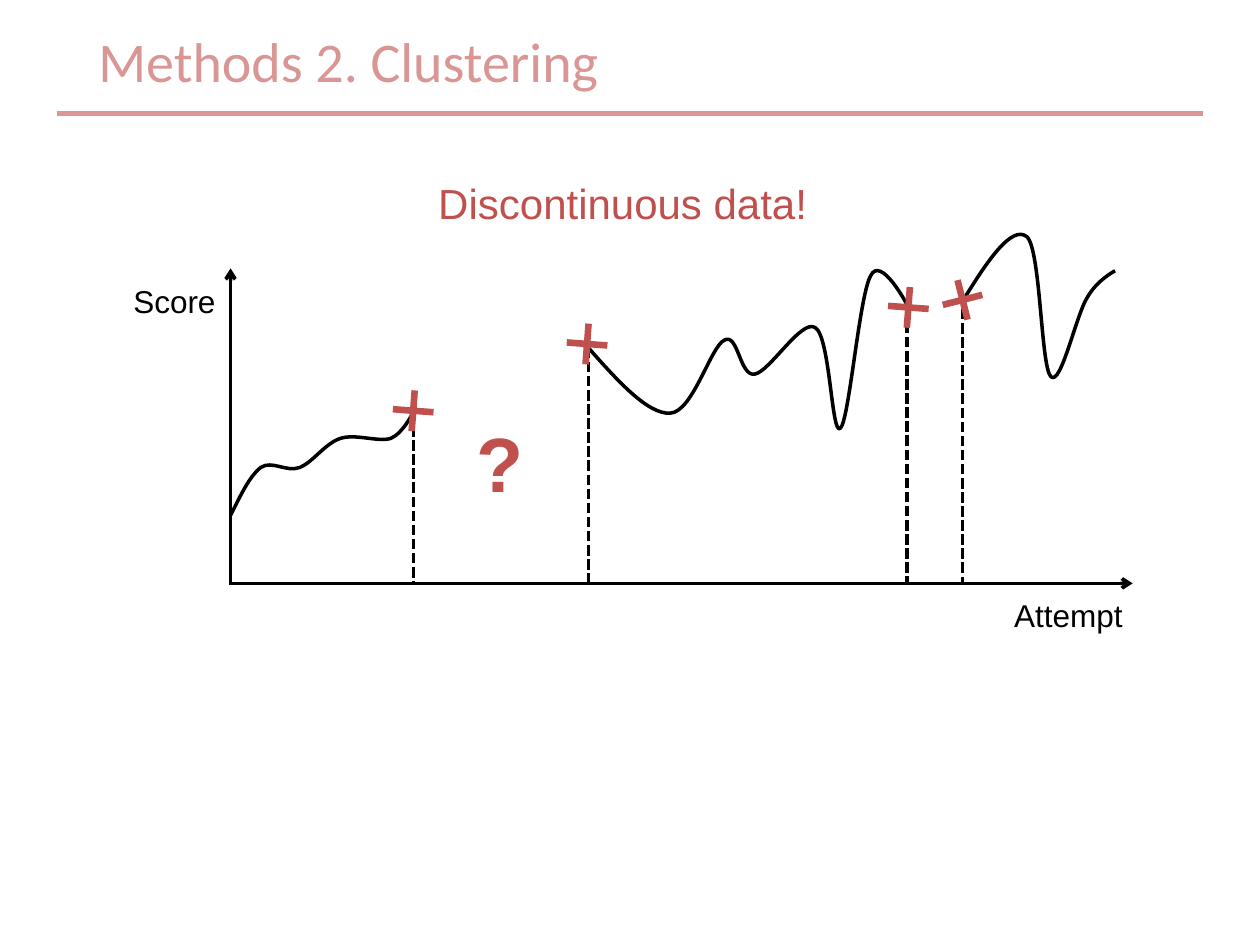
from dataclasses import dataclass
from typing import Any

from lxml.etree import SubElement
from pptx import Presentation
from pptx.dml.color import RGBColor
from pptx.enum.dml import MSO_LINE
from pptx.enum.shapes import MSO_CONNECTOR, MSO_SHAPE
from pptx.enum.text import MSO_ANCHOR, MSO_AUTO_SIZE, PP_ALIGN
from pptx.oxml.ns import qn
from pptx.util import Inches, Pt

PINK = RGBColor(0xD9, 0x96, 0x94)
RED = RGBColor(0xC0, 0x50, 0x4D)
BLACK = RGBColor(0, 0, 0)
AXIS_Y = 4.63
MARK_SIZE = 0.44

Point = tuple[float, float]
Box = tuple[float, float, float, float]


@dataclass
class Label:
    text: str
    box: Box
    size: int
    color: RGBColor = BLACK
    font: str = "Arial"
    bold: bool = False


@dataclass
class Line:
    start: Point
    end: Point
    color: RGBColor = BLACK
    width: float = 2
    dashed: bool = False
    arrow: bool = False


@dataclass
class Curve:
    box: Box
    points: list[Point]


@dataclass
class Break:
    x: float
    top: float
    mark: Point
    rotation: float = 319.3


TITLE = Label("Methods 2. Clustering", (0.68, 0.16, 4.22, 0.64), 32, PINK, "Calibri")
LABELS = [
    Label("Attempt", (7.95, 4.68, 1.09, 0.4), 18),
    Label("Score", (0.96, 2.19, 0.86, 0.4), 18),
    Label("?", (3.68, 3.25, 0.58, 0.84), 44, RED, bold=True),
    Label("Discontinuous data!", (3.38, 1.36, 3.16, 0.5), 24, RED),
]
LINES = [
    Line((0.45, 0.9), (9.55, 0.9), PINK, 3),
    Line((1.82, AXIS_Y), (8.99, AXIS_Y), arrow=True),
    Line((1.83, 4.64), (1.83, 2.13), arrow=True),
]
CURVES = [
    Curve((1.83, 3.27, 1.45, 0.82), [
        (1.83, 4.09), (1.91, 3.93), (1.98, 3.78), (2.07, 3.71),
        (2.16, 3.65), (2.27, 3.75), (2.38, 3.71),
        (2.48, 3.67), (2.58, 3.52), (2.7, 3.48),
        (2.82, 3.44), (3, 3.51), (3.1, 3.48),
        (3.2, 3.44), (3.28, 3.27), (3.28, 3.27)]),
    Curve((4.66, 2.15, 2.54, 1.26), [
        (4.66, 2.75), (4.9, 3.02), (5.14, 3.29), (5.32, 3.28),
        (5.5, 3.27), (5.64, 2.75), (5.75, 2.7),
        (5.86, 2.64), (5.87, 2.99), (5.99, 2.97),
        (6.11, 2.95), (6.36, 2.53), (6.47, 2.6),
        (6.59, 2.67), (6.6, 3.47), (6.67, 3.4),
        (6.74, 3.34), (6.82, 2.35), (6.91, 2.19),
        (6.99, 2.02), (7.2, 2.42), (7.2, 2.42)]),
    Curve((7.64, 1.86, 1.22, 1.14), [
        (7.64, 2.39), (7.83, 2.08), (8.03, 1.78), (8.15, 1.88),
        (8.26, 1.98), (8.26, 2.91), (8.34, 2.99),
        (8.42, 3.07), (8.54, 2.5), (8.63, 2.36),
        (8.71, 2.22), (8.85, 2.15), (8.85, 2.15)]),
]
BREAKS = [
    Break(3.28, 3.27, (3.06, 3.04)),
    Break(4.67, 2.76, (4.44, 2.51)),
    Break(7.2, 2.45, (6.99, 2.22)),
    Break(7.64, 2.34, (7.42, 2.16), 300.8),
]


def set_attrs(target: Any, values: dict[str, Any]) -> None:
    for name, value in values.items():
        setattr(target, name, value)


def place(sp: Any, box: Box) -> None:
    set_attrs(sp, dict(zip(("left", "top", "width", "height"), map(Inches, box))))


def write_label(sp: Any, label: Label) -> None:
    place(sp, label.box)
    tf = sp.text_frame
    p = tf.paragraphs[0]
    r = p.add_run()
    r.text = label.text
    set_attrs(tf, {"word_wrap": False, "auto_size": MSO_AUTO_SIZE.SHAPE_TO_FIT_TEXT,
                   "vertical_anchor": MSO_ANCHOR.TOP})
    p.alignment = PP_ALIGN.LEFT
    set_attrs(r.font, {"name": label.font, "size": Pt(label.size), "bold": label.bold})
    r.font.color.rgb = label.color


def draw_line(s: Any, line: Line) -> None:
    sp = s.shapes.add_connector(MSO_CONNECTOR.STRAIGHT,
                                *map(Inches, line.start + line.end))
    sp.line.color.rgb = line.color
    sp.line.width = Pt(line.width)
    if line.dashed:
        sp.line.dash_style = MSO_LINE.SQUARE_DOT
    if line.arrow:
        SubElement(sp.line._get_or_add_ln(), qn("a:tailEnd"), type="arrow")
    SubElement(sp._element.spPr, qn("a:effectLst"))


def draw_curve(s: Any, curve: Curve) -> None:
    start, *rest = [(Inches(x), Inches(y)) for x, y in curve.points]
    builder = s.shapes.build_freeform(*start)
    builder.add_line_segments(rest[2::3], close=False)
    sp = builder.convert_to_shape()
    place(sp, curve.box)
    outline = sp._element.find(".//" + qn("a:path"))
    outline.set("w", str(sp.width))
    outline.set("h", str(sp.height))
    for child in list(outline):
        outline.remove(child)
    steps = [("a:moveTo", [start])]
    steps += [("a:cubicBezTo", rest[i:i + 3]) for i in range(0, len(rest), 3)]
    for tag, points in steps:
        step = SubElement(outline, qn(tag))
        for x, y in points:
            SubElement(step, qn("a:pt"), x=str(x - sp.left), y=str(y - sp.top))
    sp.shadow.inherit = False
    sp.fill.background()
    sp.line.color.rgb = BLACK
    sp.line.width = Pt(2)


def draw_break(s: Any, gap: Break) -> None:
    draw_line(s, Line((gap.x, gap.top), (gap.x, AXIS_Y), dashed=True))
    sp = s.shapes.add_shape(MSO_SHAPE.MATH_MULTIPLY, *map(Inches, gap.mark),
                            Inches(MARK_SIZE), Inches(MARK_SIZE))
    sp.adjustments[0] = 0.119
    sp.rotation = gap.rotation
    sp.shadow.inherit = False
    sp.fill.solid()
    sp.fill.fore_color.rgb = RED
    sp.line.fill.background()


def main() -> None:
    prs = Presentation()
    set_attrs(prs, {"slide_width": Inches(10), "slide_height": Inches(7.5)})
    s = prs.slides.add_slide(prs.slide_layouts[5])
    write_label(s.shapes.title, TITLE)
    for line in LINES:
        draw_line(s, line)
    for curve in CURVES:
        draw_curve(s, curve)
    for gap in BREAKS:
        draw_break(s, gap)
    for label in LABELS:
        write_label(s.shapes.add_textbox(0, 0, 0, 0), label)
    prs.save("out.pptx")


if __name__ == "__main__":
    main()
